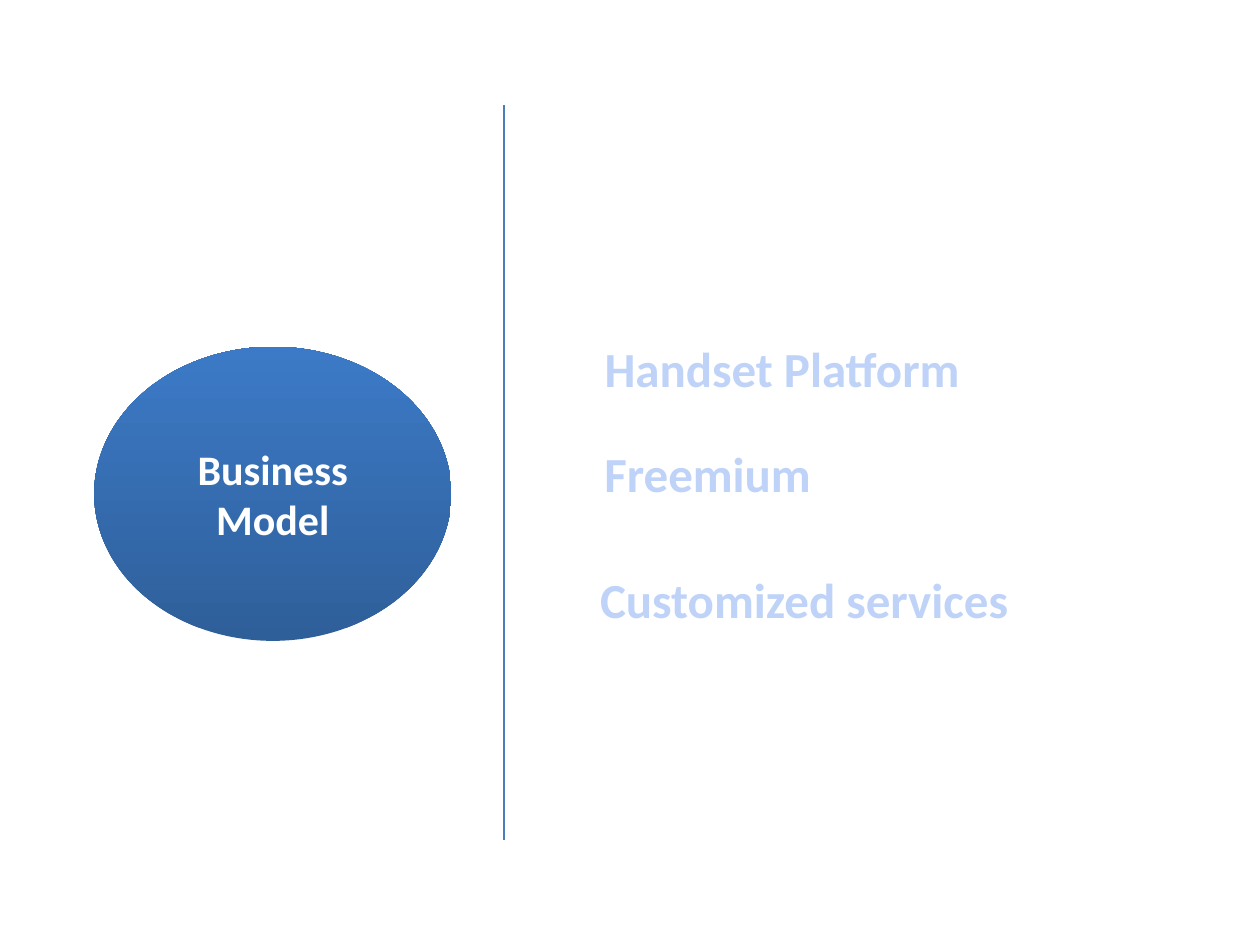
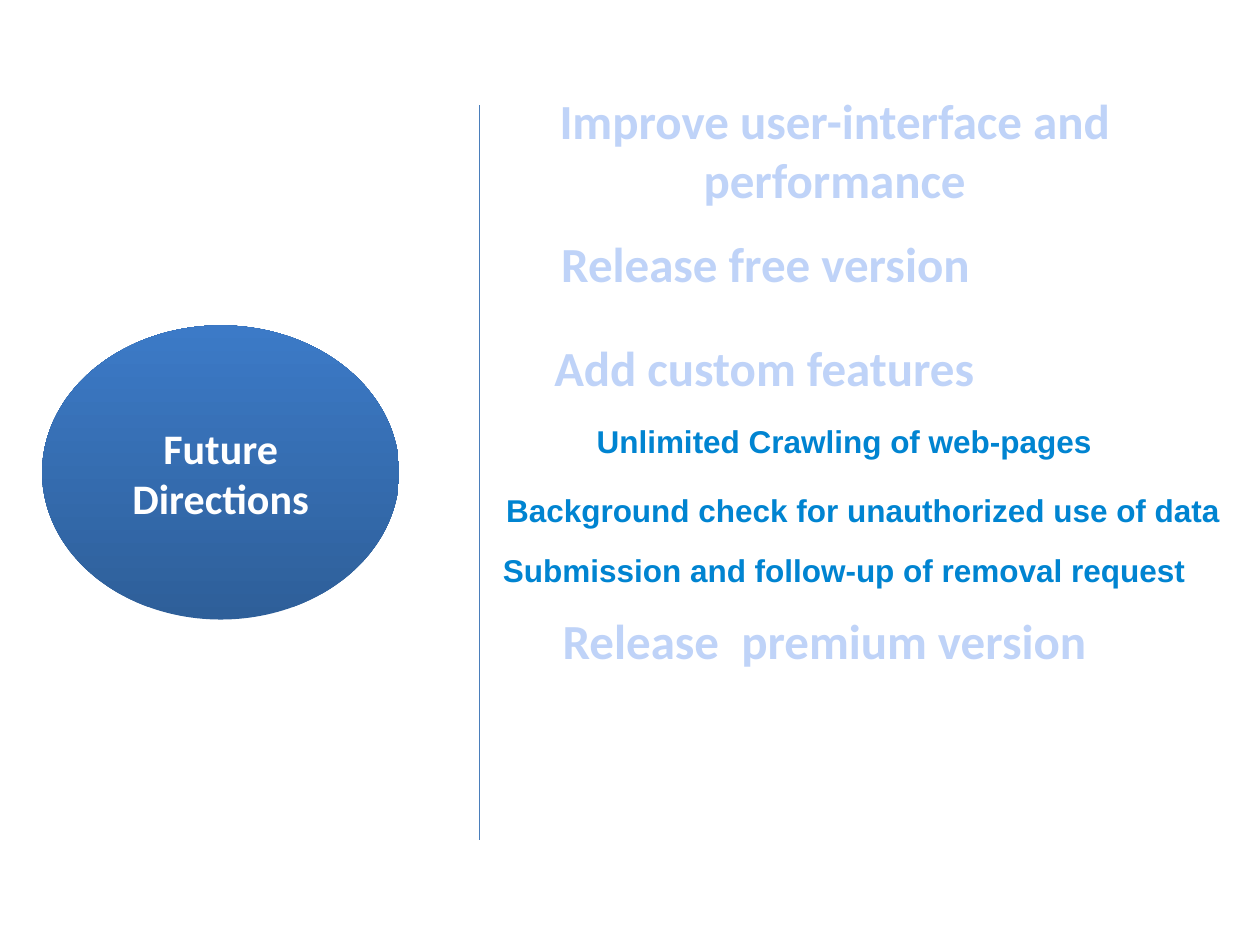
"""Build two topic slides: an oval topic, a dividing rule and its points."""
from pptx import Presentation
from pptx.dml.color import RGBColor
from pptx.enum.shapes import MSO_CONNECTOR as Link, MSO_SHAPE as Form
from pptx.enum.text import MSO_ANCHOR as Anchor, PP_ALIGN as Align
from pptx.util import Cm, Pt
from lxml.etree import SubElement
from pptx.oxml.ns import qn

DEEP = RGBColor(0x2E, 0x5F, 0x99)
BRIGHT = RGBColor(0x3C, 0x7A, 0xC7)
RULE = RGBColor(0x4A, 0x7E, 0xBB)
PALE = RGBColor(0xBF, 0xD3, 0xF8)
AQUA = RGBColor(0x00, 0x84, 0xD1)
WHITE = RGBColor(0xFF, 0xFF, 0xFF)

TOPIC = ("Calibri", 24, WHITE)
POINT = ("Calibri", 28, PALE)
DETAIL = ("Arial", 18, AQUA)

OVAL = (7.2, 5.93)
SPAN = (2.12, 16.93)
DETAIL_H = 1.52

SLIDES = [
    {
        "topic": "Business Model", "oval": (1.9, 6.99), "rule": 10.16, "height": 2.54,
        "points": [
            ("Handset Platform", 11, 6.15, 9.53),
            ("Freemium", 11.24, 8.26, 6.05),
            ("Customized services", 11.74, 10.8, 8.94),
        ],
        "details": [],
    },
    {
        "topic": "Future Directions", "oval": (0.85, 6.56), "rule": 9.66, "height": 2.12,
        "points": [
            ("Improve user-interface and performance", 10.79, 1.95, 12.07),
            ("Release free version", 10.03, 4.24, 10.8),
            ("Add custom features", 10.75, 6.34, 9.31),
            ("Release  premium version", 11.01, 11.85, 11.22),
        ],
        "details": [
            ("Unlimited Crawling of web-pages", 9.27, 8.13, 15.5),
            ("Background check for unauthorized use of data", 9.65, 9.53, 15.5),
            ("Submission and follow-up of removal request", 9.27, 10.72, 15.5),
        ],
    },
]


def write(shape, text, style):
    """Put centred bold text in a shape."""
    face, size, tone = style
    frame = shape.text_frame
    frame.text = text
    frame.word_wrap = True
    frame.vertical_anchor = Anchor.MIDDLE
    para = frame.paragraphs[0]
    para.alignment = Align.CENTER
    font = para.runs[0].font
    font.name, font.size, font.bold = face, Pt(size), True
    font.color.rgb = tone


def add_topic(slide, text, spot):
    """Draw the shaded oval that names the topic."""
    oval = slide.shapes.add_shape(Form.OVAL, *map(Cm, spot + OVAL))
    oval.shadow.inherit = False
    oval.line.fill.background()
    oval.fill.gradient()
    oval.fill.gradient_angle = 90
    for stop, tone in zip(oval.fill.gradient_stops, (DEEP, BRIGHT)):
        stop.color.rgb = tone
    write(oval, text, TOPIC)


def add_rule(slide, left):
    """Draw the upright line between topic and points."""
    top, end = map(Cm, SPAN)
    rule = slide.shapes.add_connector(Link.STRAIGHT, Cm(left), top, Cm(left), end)
    rule.line.color.rgb = RULE
    rule.line.width = Pt(0.75)
    SubElement(rule._element.spPr, qn("a:effectLst"))


def add_texts(slide, rows, height, style):
    """Add one text box for each row."""
    for text, left, top, width in rows:
        box = slide.shapes.add_textbox(Cm(left), Cm(top), Cm(width), Cm(height))
        write(box, text, style)


def main():
    """Build and save the deck."""
    deck = Presentation()
    deck.slide_width, deck.slide_height = Cm(25.4), Cm(19.05)
    blank = deck.slide_layouts[6]
    for page in SLIDES:
        slide = deck.slides.add_slide(blank)
        add_topic(slide, page["topic"], page["oval"])
        add_rule(slide, page["rule"])
        add_texts(slide, page["points"], page["height"], POINT)
        add_texts(slide, page["details"], DETAIL_H, DETAIL)
    deck.save("out.pptx")


if __name__ == "__main__":
    main()
